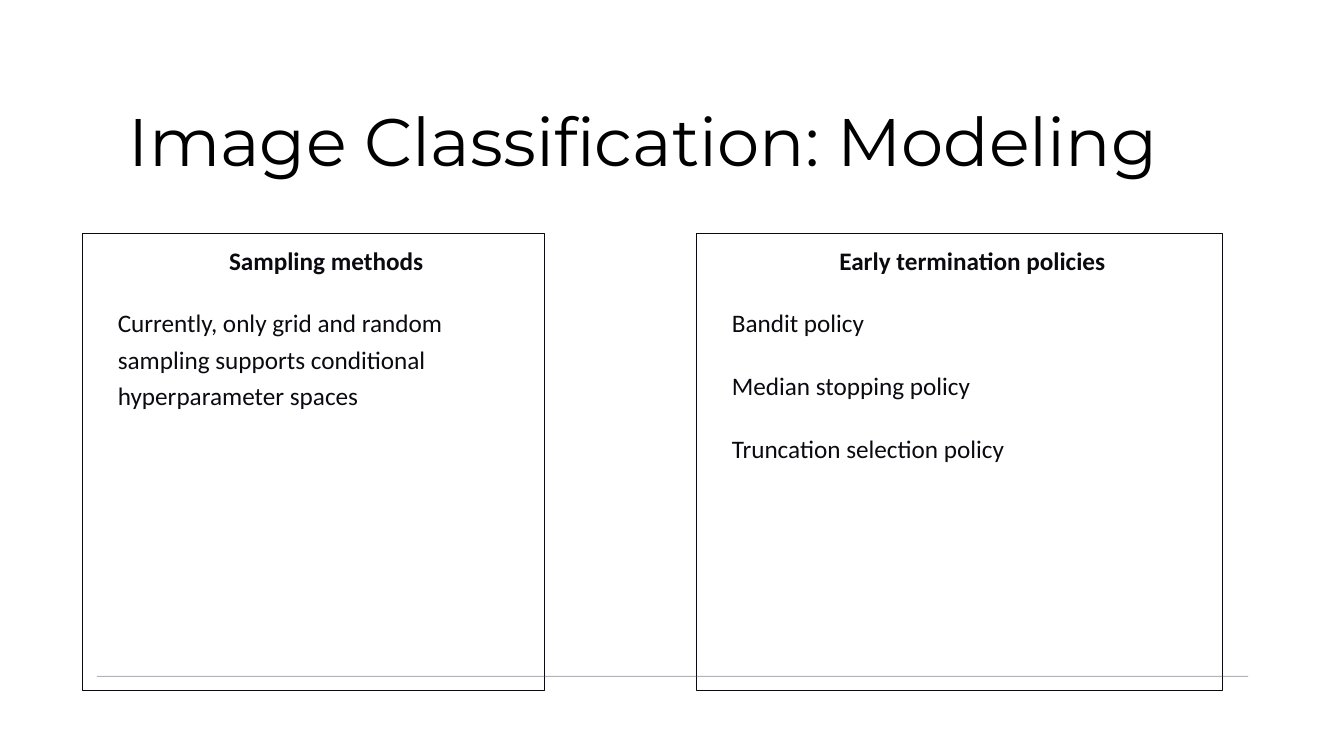
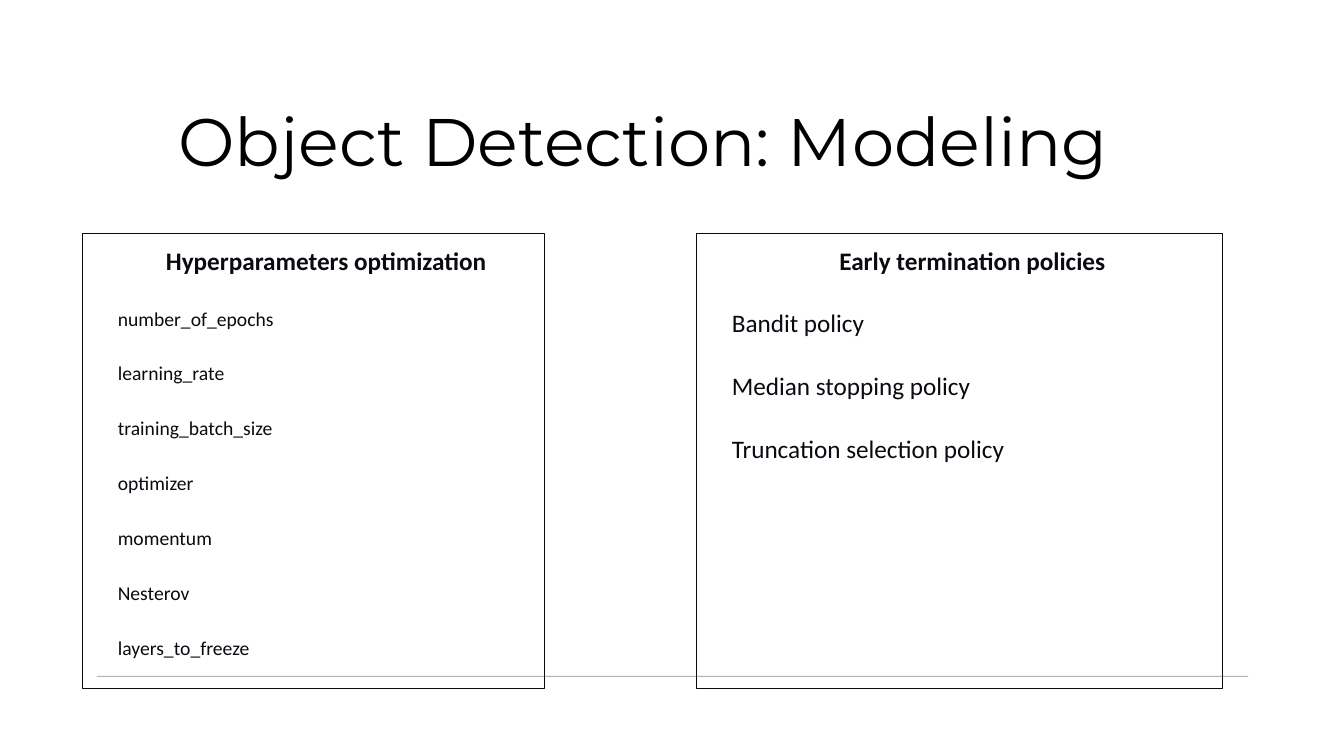
"""Build two modeling slides, each with a title, two outlined panels and a footer rule."""
import dataclasses
import typing

import lxml.etree
import pptx
import pptx.dml.color
import pptx.enum.shapes
import pptx.enum.text
import pptx.oxml.ns
import pptx.presentation
import pptx.shapes.base
import pptx.slide
import pptx.text.text
import pptx.util

Inches = pptx.util.Inches
Pt = pptx.util.Pt
Align = pptx.enum.text.PP_ALIGN
Anchor = pptx.enum.text.MSO_ANCHOR

INK = "0C0A11"
RULE = "40434F"
BLACK = "000000"
RULE_OPACITY = 40
LINE_WIDTH = Pt(0.75)
PANEL_TOP = Inches(2.32)
RULE_Y = Inches(6.71)
PARA_INDENT = Inches(0.25)

TITLE_PARA = {"alignment": Align.CENTER, "line_spacing": 0.9}
TITLE_FONT = {"name": "Montserrat", "size": Pt(48), "bold": False}
HEADING_PARA = {"alignment": Align.CENTER, "line_spacing": 1.2,
                "space_before": Pt(0), "space_after": Pt(9)}
ITEM_PARA = HEADING_PARA | {"alignment": Align.LEFT, "space_before": Pt(10)}
HEADING_FONT = {"name": "Calibri", "size": Pt(18), "bold": True}
ITEM_FONT = HEADING_FONT | {"bold": False}


@dataclasses.dataclass(frozen=True)
class Column:
    """Horizontal place of a panel, in inches."""
    left: float
    width: float


@dataclasses.dataclass(frozen=True)
class Panel:
    """Heading and items of one outlined panel."""
    column: Column
    heading: str
    items: tuple[str, ...]
    item_size: int = 18


@dataclasses.dataclass(frozen=True)
class Page:
    """Title, panel height in inches and panels of one slide."""
    title: str
    panel_height: float
    panels: tuple[Panel, ...]


LEFT_COLUMN = Column(0.82, 4.58)
RIGHT_COLUMN = Column(6.91, 5.22)
TERMINATION = Panel(RIGHT_COLUMN, "Early termination policies",
                    ("Bandit policy", "Median stopping policy", "Truncation selection policy"))
PAGES = (
    Page("Image Classification: Modeling", 4.53, (
        Panel(LEFT_COLUMN, "Sampling methods",
              ("Currently, only grid and random sampling supports conditional "
               "hyperparameter spaces",)),
        TERMINATION)),
    Page("Object Detection: Modeling", 4.51, (
        Panel(LEFT_COLUMN, "Hyperparameters optimization",
              ("number_of_epochs", "learning_rate", "training_batch_size", "optimizer",
               "momentum", "Nesterov", "layers_to_freeze"), 14),
        TERMINATION)),
)


def color(value: str) -> pptx.dml.color.RGBColor:
    """Turn a hex string into a colour."""
    return pptx.dml.color.RGBColor.from_string(value)


def apply(target: object, values: dict[str, typing.Any]) -> None:
    """Set each attribute in the format values."""
    for name, value in values.items():
        setattr(target, name, value)


def write(para: pptx.text.text._Paragraph, text: str, para_format: dict[str, typing.Any],
          font_format: dict[str, typing.Any], ink: str) -> None:
    """Write one formatted span into a paragraph."""
    apply(para, para_format)
    span = para.add_run()
    span.text = text
    apply(span.font, font_format)
    span.font.color.rgb = color(ink)


def add_title(page: pptx.slide.Slide, text: str) -> None:
    """Add the centred slide title."""
    box = page.shapes.add_textbox(Inches(0.63), Inches(0.99), Inches(11.5), Inches(0.86))
    apply(box.text_frame, {"word_wrap": True, "vertical_anchor": Anchor.BOTTOM})
    write(box.text_frame.paragraphs[0], text, TITLE_PARA, TITLE_FONT, BLACK)


def add_panel(page: pptx.slide.Slide, panel: Panel, height: float) -> None:
    """Add an outlined panel with a heading and its items."""
    box = page.shapes.add_shape(
        pptx.enum.shapes.MSO_SHAPE.RECTANGLE, Inches(panel.column.left), PANEL_TOP,
        Inches(panel.column.width), Inches(height))
    box.shadow.inherit = False
    box.fill.background()
    box.line.color.rgb = color(INK)
    box.line.width = LINE_WIDTH
    frame = box.text_frame
    apply(frame, {"word_wrap": True, "vertical_anchor": Anchor.TOP})
    write(frame.paragraphs[0], panel.heading, HEADING_PARA, HEADING_FONT, INK)
    item_font = ITEM_FONT | {"size": Pt(panel.item_size)}
    for item in panel.items:
        write(frame.add_paragraph(), item, ITEM_PARA, item_font, INK)
    for para in frame.paragraphs:
        properties = para._p.get_or_add_pPr()
        properties.set("marL", str(PARA_INDENT))
        properties.set("indent", "0")


def add_rule(page: pptx.slide.Slide) -> None:
    """Add the translucent footer rule."""
    rule = page.shapes.add_connector(
        pptx.enum.shapes.MSO_CONNECTOR.STRAIGHT, Inches(0.96), RULE_Y, Inches(12.38), RULE_Y)
    rule.line.color.rgb = color(RULE)
    rule.line.width = LINE_WIDTH
    qualified = pptx.oxml.ns.qn
    properties = rule._element.spPr
    paint = properties.find(".//" + qualified("a:srgbClr"))
    lxml.etree.SubElement(paint, qualified("a:alpha"), val=str(RULE_OPACITY * 1000))
    lxml.etree.SubElement(properties, qualified("a:effectLst"))


def add_page(deck: pptx.presentation.Presentation, content: Page) -> None:
    """Add one complete slide."""
    page = deck.slides.add_slide(deck.slide_layouts[6])
    add_title(page, content.title)
    for panel in content.panels:
        add_panel(page, panel, content.panel_height)
    add_rule(page)


def main() -> None:
    """Build and save the deck."""
    deck = pptx.Presentation()
    deck.slide_width, deck.slide_height = Inches(13.33), Inches(7.5)
    for content in PAGES:
        add_page(deck, content)
    deck.save("out.pptx")


if __name__ == "__main__":
    main()
